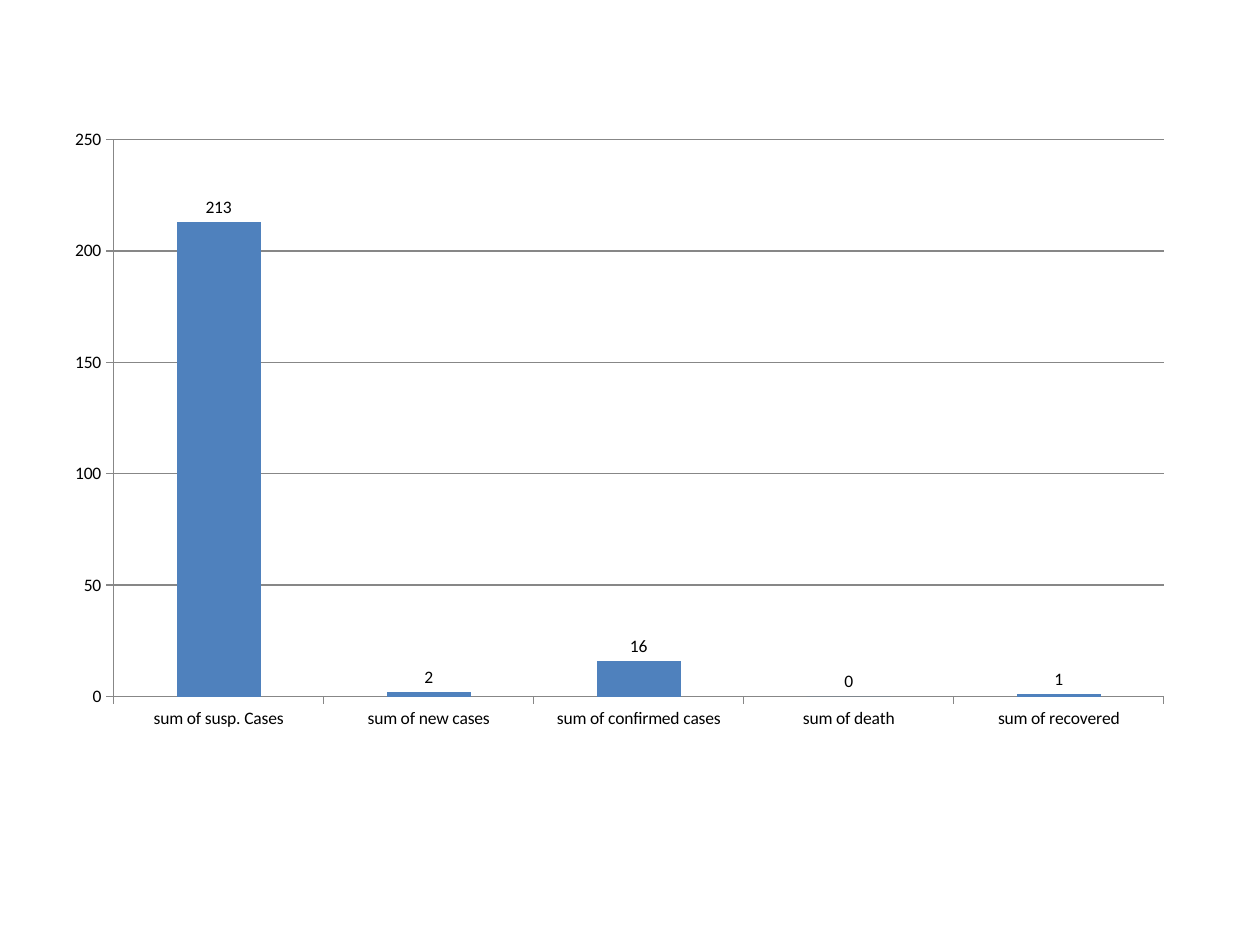
from typing import NamedTuple

import pptx
import pptx.chart.data
import pptx.dml.color
import pptx.enum.chart
import pptx.util

Pt = pptx.util.Pt
COLORS = {"bar": "4F81BD", "text": "000000", "line": "878787", "back": "FFFFFF"}


class Count(NamedTuple):
    label: str
    value: int


COUNTS = [
    Count("sum of susp. Cases", 213),
    Count("sum of new cases", 2),
    Count("sum of confirmed cases", 16),
    Count("sum of death", 0),
    Count("sum of recovered", 1),
]


def color(name: str) -> pptx.dml.color.RGBColor:
    return pptx.dml.color.RGBColor.from_string(COLORS[name])


def style_line(line: pptx.dml.line.LineFormat) -> None:
    line.color.rgb = color("line")
    line.width = Pt(0.75)


def add_chart(slide: pptx.slide.Slide, counts: list[Count]) -> None:
    data = pptx.chart.data.CategoryChartData()
    data.categories = [count.label for count in counts]
    data.add_series("Series 1", [count.value for count in counts])
    kind = pptx.enum.chart.XL_CHART_TYPE.COLUMN_CLUSTERED
    frame = slide.shapes.add_chart(kind, Pt(30), Pt(67), Pt(648), Pt(356.5), data)
    chart = frame.chart
    chart.has_legend = False
    chart.has_title = False
    chart.font.name = "Calibri"
    chart.font.size = Pt(10)
    chart.font.color.rgb = color("text")

    for axis in (chart.category_axis, chart.value_axis):
        axis.major_tick_mark = pptx.enum.chart.XL_TICK_MARK.OUTSIDE
        axis.minor_tick_mark = pptx.enum.chart.XL_TICK_MARK.NONE
        style_line(axis.format.line)
    scale = chart.value_axis
    scale.minimum_scale, scale.maximum_scale, scale.major_unit = 0, 250, 50
    scale.has_major_gridlines = True
    style_line(scale.major_gridlines.format.line)

    plot = chart.plots[0]
    plot.gap_width = 150
    plot.vary_by_categories = False
    bars = plot.series[0]
    bars.format.fill.solid()
    bars.format.fill.fore_color.rgb = color("bar")
    labels = bars.data_labels
    labels.show_value = True
    labels.position = pptx.enum.chart.XL_LABEL_POSITION.OUTSIDE_END


def main() -> None:
    deck = pptx.Presentation()
    deck.slide_width, deck.slide_height = Pt(720), Pt(540)
    slide = deck.slides.add_slide(deck.slide_layouts[6])
    slide.background.fill.solid()
    slide.background.fill.fore_color.rgb = color("back")
    add_chart(slide, COUNTS)
    deck.save("out.pptx")


if __name__ == "__main__":
    main()
